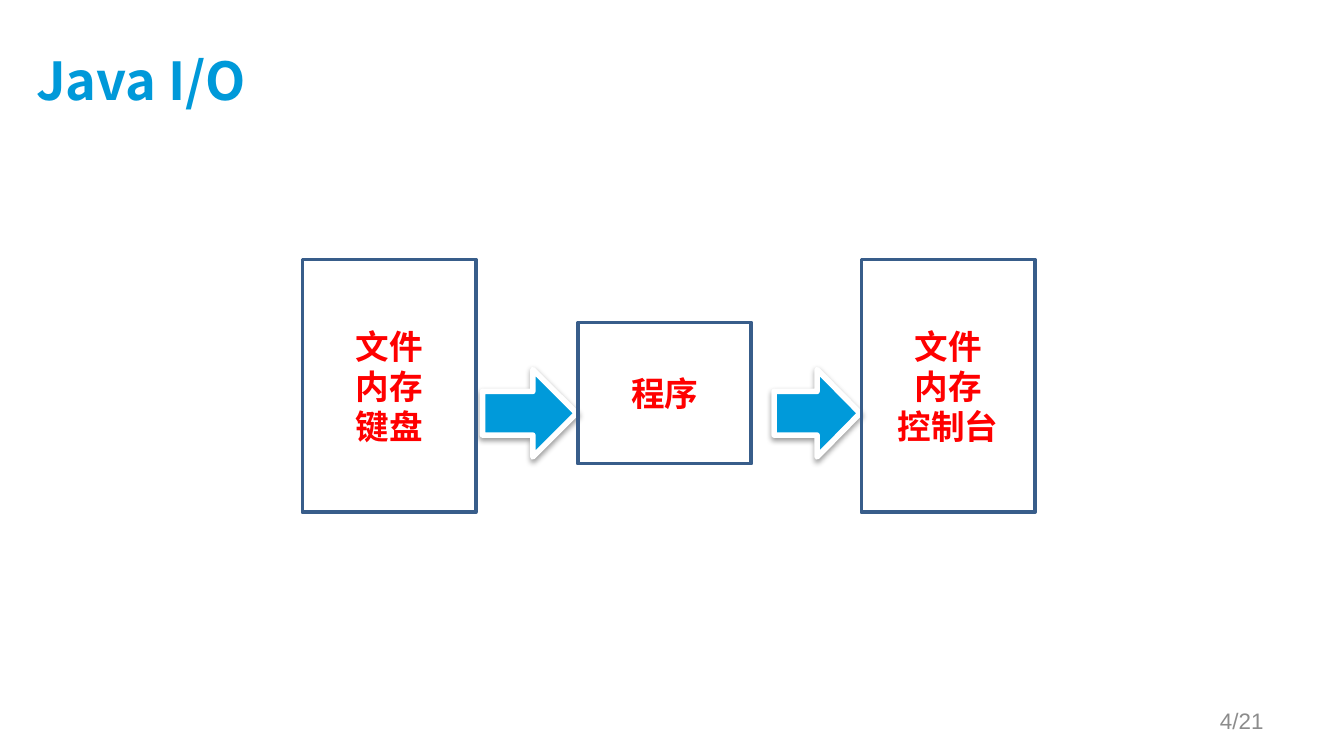
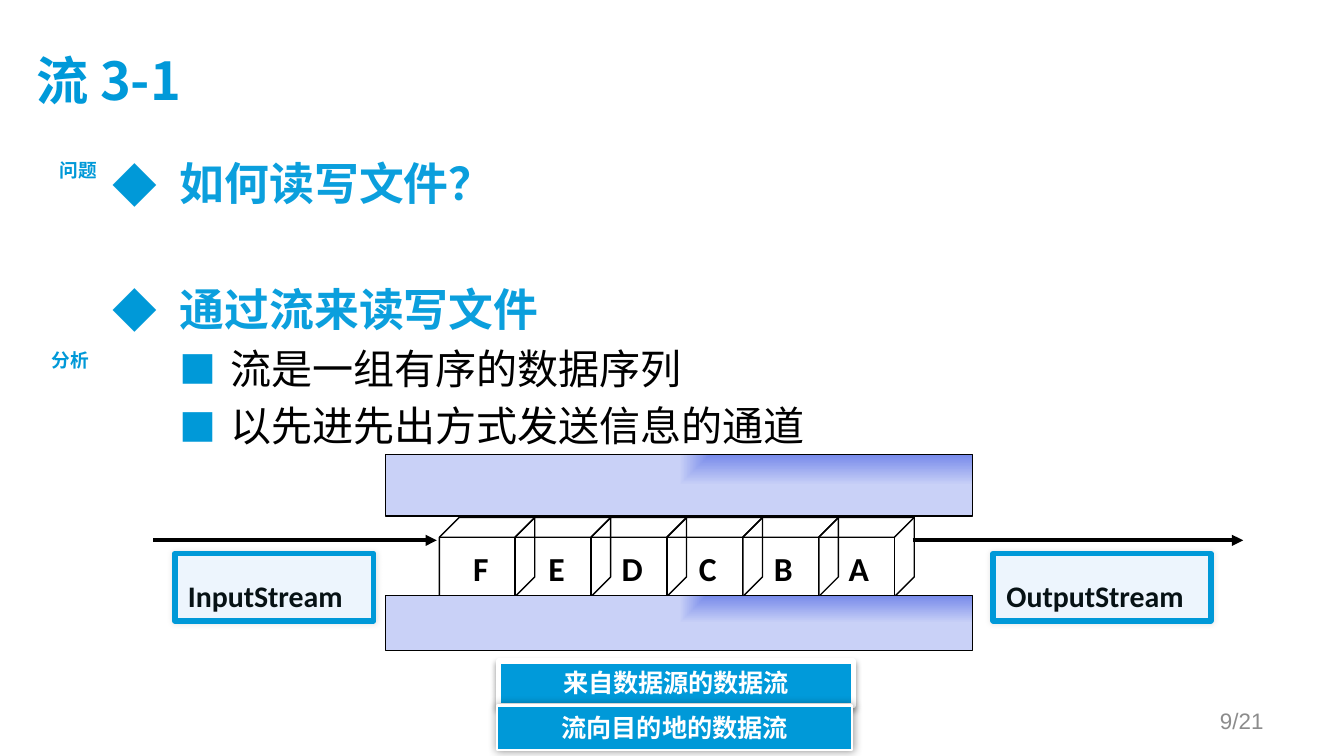
from lxml import etree
from pptx import Presentation
from pptx.dml.color import RGBColor
from pptx.enum import shapes, text
from pptx.oxml.ns import qn
from pptx.util import Pt

BLUE = RGBColor(0x00, 0x99, 0xD8)
ARROW_BLUE = RGBColor(0x00, 0x9A, 0xDA)
TITLE_BLUE = RGBColor(0x00, 0x99, 0xD9)
HEADING_BLUE = RGBColor(0x0B, 0x9F, 0xDD)
BORDER_BLUE = RGBColor(0x38, 0x5D, 0x8A)
PALE_BLUE = RGBColor(0xED, 0xF5, 0xFD)
PIPE_DARK = RGBColor(0x76, 0x89, 0xEA)
PIPE_LIGHT = RGBColor(0xC9, 0xD1, 0xF7)
RED = RGBColor(0xFF, 0x00, 0x00)
INK = RGBColor(0x07, 0x12, 0x15)
GREY = RGBColor(0x8C, 0x8C, 0x8C)
BLACK = RGBColor(0x00, 0x00, 0x00)
WHITE = RGBColor(0xFF, 0xFF, 0xFF)

HEAD_FONT = "Noto Sans CJK SC"
BOX_FONT = "Calibri"
SMALL_FONT = "Arial"

LEFT, CENTER, RIGHT = text.PP_ALIGN.LEFT, text.PP_ALIGN.CENTER, text.PP_ALIGN.RIGHT
TOP, MIDDLE = text.MSO_ANCHOR.TOP, text.MSO_ANCHOR.MIDDLE
KINDS = shapes.MSO_SHAPE
INSETS = (7.2, 3.6, 7.2, 3.6)

# opacity, blur, distance, direction
SOFT_SHADOW = (38, 3.1, 1.6, 90)
GLOW_SHADOW = (40, 5, 0, 0)
FAINT_SHADOW = (10, 3, 0, 0)


def points(values):
    return [Pt(value) for value in values]


def add_node(parent, tag, **attributes):
    node = etree.SubElement(parent, qn(tag))
    for name, value in attributes.items():
        node.set(name, str(value))
    return node


def style_para(para, font, size, color, bold=True, align=LEFT):
    para.alignment = align
    for span in para.runs:
        span.font.name = font
        span.font.size = Pt(size)
        span.font.bold = bold
        span.font.color.rgb = color
        add_node(span.font._element, "a:ea", typeface=font)


def write(box, words, font, size, color, bold=True, align=LEFT,
          anchor=TOP, insets=INSETS, wrap=True):
    frame = box.text_frame
    frame.text = words
    frame.word_wrap = wrap
    frame.vertical_anchor = anchor
    (frame.margin_left, frame.margin_top,
     frame.margin_right, frame.margin_bottom) = points(insets)
    for para in frame.paragraphs:
        style_para(para, font, size, color, bold, align)


def add_label(page, place, words, font, size, color, **options):
    box = page.shapes.add_textbox(*points(place))
    write(box, words, font, size, color, **options)


def add_block(page, kind, place, fill, line, width, shadow=None):
    block = page.shapes.add_shape(kind, *points(place))
    block.shadow.inherit = False
    if fill is None:
        block.fill.background()
    else:
        block.fill.solid()
        block.fill.fore_color.rgb = fill
    block.line.color.rgb = line
    block.line.width = Pt(width)
    if shadow:
        opacity, blur, distance, direction = shadow
        effects = block._element.spPr.find(qn("a:effectLst"))
        outer = add_node(effects, "a:outerShdw", blurRad=Pt(blur), dist=Pt(distance),
                         dir=direction * 60000, algn="ctr", rotWithShape=0)
        color = add_node(outer, "a:srgbClr", val=BLACK)
        add_node(color, "a:alpha", val=opacity * 1000)
    return block


def add_pipe_wall(page, top, height):
    """Add a bar whose gradient spreads from its top right corner."""
    wall = add_block(page, KINDS.RECTANGLE, (206.6, top, 314.6, height),
                     PIPE_LIGHT, BLACK, 0.75)
    wall.fill.gradient()
    for stop, position, color in zip(wall.fill.gradient_stops, (0, 1),
                                     (PIPE_DARK, PIPE_LIGHT)):
        stop.position = position
        stop.color.rgb = color
    gradient = wall._element.spPr.find(qn("a:gradFill"))
    gradient.remove(gradient.find(qn("a:lin")))
    spread = add_node(gradient, "a:path", path="rect")
    add_node(spread, "a:fillToRect", l=100000, b=100000)


def add_stream_arrow(page, start, end, y):
    arrow = page.shapes.add_connector(shapes.MSO_CONNECTOR.STRAIGHT,
                                      *points((start, y, end, y)))
    arrow.line.color.rgb = BLACK
    arrow.line.width = Pt(2)
    properties = arrow._element.spPr
    add_node(properties.find(qn("a:ln")), "a:tailEnd", type="triangle")
    add_node(properties, "a:effectLst")


def add_outline(page, place, items):
    """Add bulleted lines given as (level, space before, words)."""
    styles = ((24, HEADING_BLUE, True, 36, 36, "◆", 100),
              (22, BLACK, False, 63, 27, "■", 90))
    box = page.shapes.add_textbox(*points(place))
    frame = box.text_frame
    frame.word_wrap = True
    frame.text = "\n".join(words for _, _, words in items)
    for para, (level, before, _) in zip(frame.paragraphs, items):
        size, color, bold, margin, hang, mark, scale = styles[level]
        para.level = level
        para.line_spacing = Pt(size * 1.2)
        para.space_before = Pt(before)
        properties = para._p.get_or_add_pPr()
        properties.set("marL", str(Pt(margin)))
        properties.set("indent", str(-Pt(hang)))
        add_node(add_node(properties, "a:buClr"), "a:srgbClr", val=BLUE)
        add_node(properties, "a:buSzPct", val=scale * 1000)
        add_node(properties, "a:buFont", typeface=HEAD_FONT)
        add_node(properties, "a:buChar", char=mark)
        style_para(para, HEAD_FONT, size, color, bold)


def add_page(deck, title, number):
    page = deck.slides.add_slide(deck.slide_layouts[6])
    add_label(page, (19.4, 16.6, 644.4, 55.4), title, HEAD_FONT, 28, TITLE_BLUE,
              anchor=MIDDLE, insets=(0, 0, 7.2, 3.6))
    add_label(page, (516.2, 375.1, 167.8, 21.6), f"{number}/21", SMALL_FONT, 12,
              GREY, bold=False, align=RIGHT, anchor=MIDDLE)
    return page


def build_io_page(deck):
    page = add_page(deck, "Java I/O", 4)
    for left, width in ((258.5, 50.4), (414.7, 46.1)):
        add_block(page, KINDS.RIGHT_ARROW, (left, 198, width, 46.8),
                  ARROW_BLUE, WHITE, 3, SOFT_SHADOW)
    for left, top, height, words in ((162, 139, 135.4, "文件\n内存\n键盘"),
                                     (309.6, 172.8, 75.6, "程序"),
                                     (461.5, 139, 135.4, "文件\n内存\n控制台")):
        box = add_block(page, KINDS.RECTANGLE, (left, top, 92.9, height),
                        None, BORDER_BLUE, 2)
        write(box, words, BOX_FONT, 18, RED, align=CENTER, anchor=MIDDLE)


def build_stream_page(deck):
    page = add_page(deck, "流 3-1", 9)
    add_outline(page, (53.3, 79.9, 611.3, 267.1), (
        (0, 0, "如何读写文件？"),
        (0, 38.4, "通过流来读写文件"),
        (1, 4.4, "流是一组有序的数据序列"),
        (1, 4.4, "以先进先出方式发送信息的通道"),
    ))
    for left, top, words in ((24.5, 81.4, "问题"), (20.2, 183.6, "分析")):
        add_label(page, (left, top, 34.6, 19.4), words, SMALL_FONT, 10, BLUE,
                  align=CENTER, wrap=False)

    for left, width, words in ((93.6, 106.6, "InputStream"),
                               (532.1, 116.6, "OutputStream")):
        box = add_block(page, KINDS.RECTANGLE, (left, 296.6, width, 36),
                        PALE_BLUE, BLUE, 3, FAINT_SHADOW)
        write(box, words, BOX_FONT, 16, INK)
        box.text_frame.paragraphs[0].line_spacing = 1.5
    add_stream_arrow(page, 488.9, 666, 289.5)
    add_stream_arrow(page, 82.1, 234, 289.5)

    for left, top, fill, width, shadow, words in (
            (267.1, 354.2, ARROW_BLUE, 3, SOFT_SHADOW, "来自数据源的数据流"),
            (266.4, 378, BLUE, 1.25, GLOW_SHADOW, "流向目的地的数据流")):
        banner = add_block(page, KINDS.RECTANGLE, (left, top, 190.1, 23.8),
                           fill, WHITE, width, shadow)
        write(banner, words, BOX_FONT, 13.5, WHITE, align=CENTER)

    for index, letter in enumerate("FEDCBA"):
        add_block(page, KINDS.CUBE, (235.4 + 40.65 * index, 277.2, 51.1, 42.5),
                  None, BLACK, 0.75)
        add_label(page, (247 + 40.5 * index, 289.8, 17.3, 28.8), letter, BOX_FONT,
                  18, BLACK, align=CENTER, insets=(4, 3.6, 0, 3.6), wrap=False)
    add_pipe_wall(page, 243.4, 33.1)
    add_pipe_wall(page, 319, 29.5)


def main():
    deck = Presentation()
    deck.slide_width, deck.slide_height = points((720, 405))
    build_io_page(deck)
    build_stream_page(deck)
    deck.save("out.pptx")


if __name__ == "__main__":
    main()
